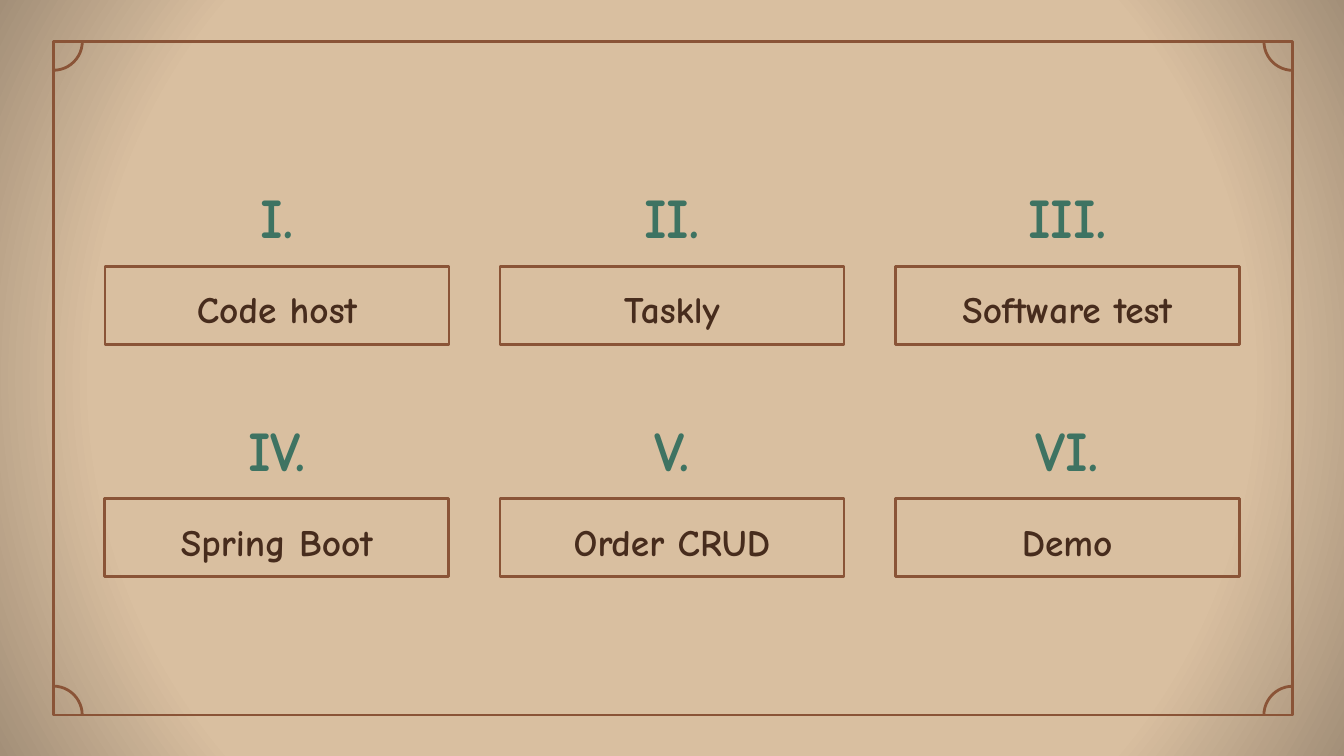
from lxml import etree
from pptx import Presentation
from pptx.dml.color import RGBColor
from pptx.enum.shapes import MSO_SHAPE
from pptx.enum.text import MSO_ANCHOR, MSO_AUTO_SIZE, PP_ALIGN
from pptx.oxml.ns import qn
from pptx.util import Pt

RECTANGLE, ARC = MSO_SHAPE.RECTANGLE, MSO_SHAPE.ARC
BOTTOM, MIDDLE = MSO_ANCHOR.BOTTOM, MSO_ANCHOR.MIDDLE
CENTER = PP_ALIGN.CENTER
NO_AUTOFIT = MSO_AUTO_SIZE.NONE

COLORS = {
    "paper": "D9BFA0",
    "vignette": "A38F78",
    "border": "8A5437",
    "numeral": "3E7362",
    "label": "472C1D",
}
FONT = "Comic Neue"
TOPICS = [
    ("I.", "Code host"), ("II.", "Taskly"), ("III.", "Software test"),
    ("IV.", "Spring Boot"), ("V.", "Order CRUD"), ("VI.", "Demo"),
]
COLUMNS = 3
NUMERAL_WIDTH, NUMERAL_HEIGHT = 82, 46.8


def color(name):
    return RGBColor.from_string(COLORS[name])


def place(shape, left, top, width, height):
    shape.left, shape.top = Pt(left), Pt(top)
    shape.width, shape.height = Pt(width), Pt(height)


def outline(shape):
    shape.fill.background()
    shape.line.color.rgb = color("border")
    shape.line.width = Pt(1.5)


def add_outlined(slide, preset, left, top, width, height):
    shape = slide.shapes.add_shape(
        preset, Pt(left), Pt(top), Pt(width), Pt(height))
    shape.shadow.inherit = False
    outline(shape)
    return shape


def write(shape, text, size, color_name, anchor):
    frame = shape.text_frame
    frame.auto_size = NO_AUTOFIT
    frame.word_wrap = True
    frame.vertical_anchor = anchor
    frame.margin_left = frame.margin_right = Pt(7.2)
    frame.margin_top = frame.margin_bottom = Pt(7.2)
    paragraph = frame.paragraphs[0]
    paragraph.alignment = CENTER
    paragraph.line_spacing = 0.8
    run = paragraph.add_run()
    run.text = text
    run.font.name, run.font.size, run.font.bold = FONT, Pt(size), True
    run.font.color.rgb = color(color_name)


def paint_background(slide):
    """Radial gradient that darkens towards the slide corners."""
    slide.background.fill.solid()
    solid = next(slide.element.iter(qn("p:bgPr"))).find(qn("a:solidFill"))
    gradient = etree.Element(qn("a:gradFill"), rotWithShape="1")
    stops = etree.SubElement(gradient, qn("a:gsLst"))
    for percent, name in [(0, "paper"), (50, "paper"), (75, "paper"), (100, "vignette")]:
        stop = etree.SubElement(stops, qn("a:gs"), pos=str(percent * 1000))
        etree.SubElement(stop, qn("a:srgbClr"), val=COLORS[name])
    circle = etree.SubElement(gradient, qn("a:path"), path="circle")
    etree.SubElement(circle, qn("a:fillToRect"),
                     l="50000", t="50000", r="50000", b="50000")
    solid.getparent().replace(solid, gradient)


def draw_frame(slide, left, top, width, height):
    """Border with a quarter circle inside each corner."""
    add_outlined(slide, RECTANGLE, left, top, width, height)
    diameter = 31
    corners = [(0, 0, 90), (1, 0, 180), (0, 1, 0), (1, 1, 270)]
    for across, down, rotation in corners:
        arc = add_outlined(slide, ARC,
                           left + across * width - diameter / 2,
                           top + down * height - diameter / 2,
                           diameter, diameter)
        arc.rotation = rotation


def draw_topic(slide, numeral, label, left, top, width, height, title=None):
    """Numeral centred above an outlined label; the label may be the title."""
    label_box = (left, top + NUMERAL_HEIGHT, width, height - NUMERAL_HEIGHT)
    if title is None:
        label_shape = add_outlined(slide, RECTANGLE, *label_box)
    else:
        label_shape = title
        place(label_shape, *label_box)
        outline(label_shape)
    write(label_shape, label, 20, "label", BOTTOM)

    numeral_box = slide.shapes.add_textbox(
        Pt(left + (width - NUMERAL_WIDTH) / 2), Pt(top),
        Pt(NUMERAL_WIDTH), Pt(NUMERAL_HEIGHT))
    write(numeral_box, numeral, 30, "numeral", MIDDLE)


def draw_agenda(slide, left, top, width, height):
    """Grid of topics, three to a row."""
    topic_width, topic_height = 184.3, 88.6
    column_step = (width - topic_width) / (COLUMNS - 1)
    row_step = height - topic_height
    for index, (numeral, label) in enumerate(TOPICS):
        row, column = divmod(index, COLUMNS)
        draw_topic(slide, numeral, label,
                   left + column * column_step, top + row * row_step,
                   topic_width, topic_height,
                   title=slide.shapes.title if index == 0 else None)


def main():
    presentation = Presentation()
    presentation.slide_width, presentation.slide_height = Pt(720), Pt(405)
    title_only = presentation.slide_layouts[5]
    slide = presentation.slides.add_slide(title_only)
    paint_background(slide)
    draw_frame(slide, 28.6, 22.2, 664, 360.9)
    draw_agenda(slide, 56.2, 95.8, 607.7, 213.2)
    presentation.save("out.pptx")


if __name__ == "__main__":
    main()
